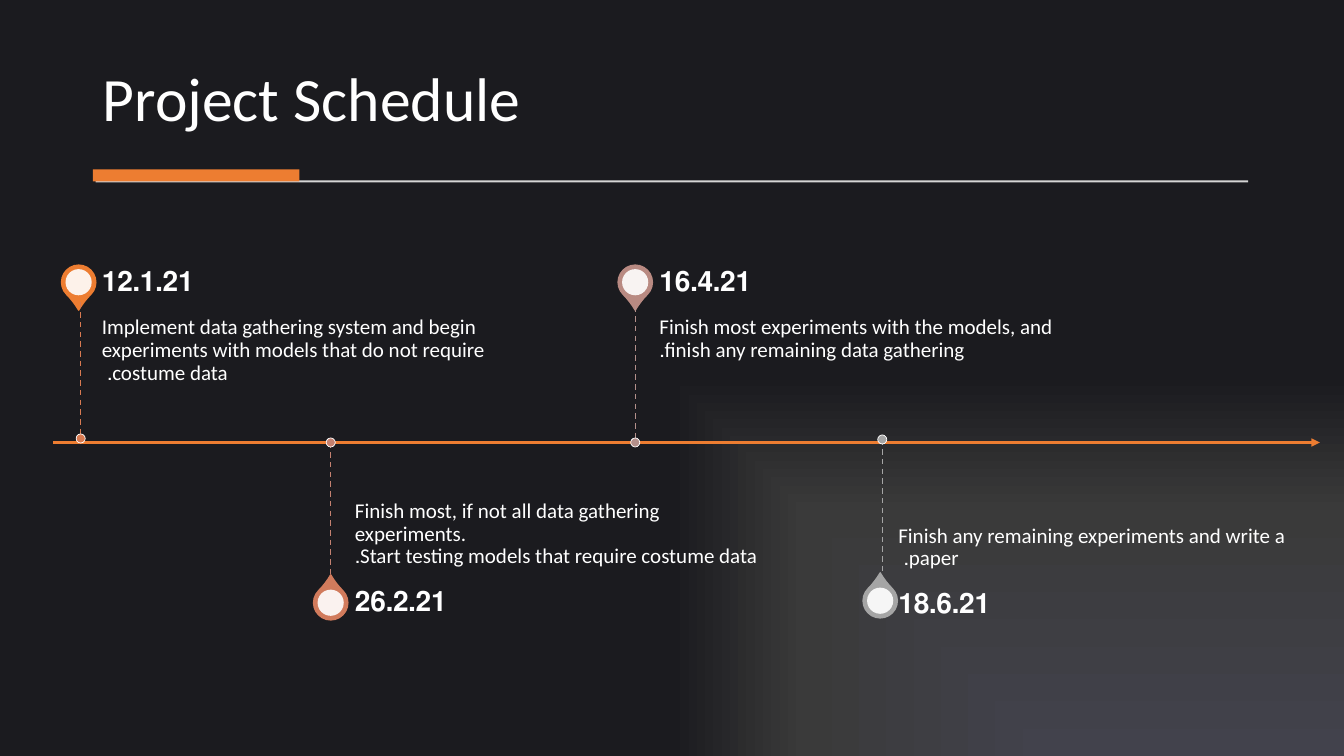
from dataclasses import dataclass

from lxml.etree import SubElement
from pptx import Presentation
from pptx.dml.color import RGBColor
from pptx.enum.dml import MSO_LINE
from pptx.enum.shapes import MSO_CONNECTOR, MSO_SHAPE
from pptx.enum.text import MSO_ANCHOR, PP_ALIGN
from pptx.oxml import parse_xml
from pptx.oxml.ns import nsdecls, qn
from pptx.util import Inches, Pt


@dataclass(frozen=True)
class Theme:
    font: str = "Calibri"
    white: str = "FFFFFF"
    accent: str = "ED7D31"
    rule: str = "D5D5D5"
    backdrop: tuple = ((0, "42424C"), (65, "3A3A3A"), (100, "1B1B1F"))
    title_size: float = 44
    date_size: float = 20
    body_size: float = 15


@dataclass(frozen=True)
class Milestone:
    date: str
    text: str
    above: bool
    left: float          # left edge of the text column
    pin_x: float
    stem_x: float
    pin_color: str
    stem_color: str
    stem_shift: float = 0
    pin_shift: float = 0
    text_shift: float = 0


THEME = Theme()
WIDTH, HEIGHT = 13.33, 7.5
AXIS_Y = 4.39
TEXT_WIDTH, TEXT_HEIGHT, DATE_HEIGHT = 4.17, 1.35, 0.48
PIN, PIN_HOLE, DOT, PIN_REACH = 0.34, 0.26, 0.09, 1.59

MILESTONES = (
    Milestone("12.1.21",
              "Implement data gathering system and begin experiments with "
              "models that do not require costume data. ",
              True, 1.01, 0.78, 0.8, "ED7D31", "D87A51", stem_shift=-0.04),
    Milestone("26.2.21",
              "Finish most, if not all data gathering experiments. \v"
              "Start testing models that require costume data.",
              False, 3.52, 3.28, 3.28, "D17B5C", "C48170"),
    Milestone("16.4.21",
              "Finish most experiments with the models, and finish any "
              "remaining data gathering.",
              True, 6.54, 6.3, 6.3, "B98A82", "B4908B"),
    Milestone("18.6.21",
              "Finish any remaining experiments and write a paper. ",
              False, 8.91, 8.73, 8.75, "A5A5A5", "A5A5A5",
              stem_shift=-0.03, pin_shift=-0.02, text_shift=0.02),
)


def write(frame, text, size, bold=False, rtl=False, anchor=MSO_ANCHOR.TOP,
          insets=(0.1, 0.05, 0.1, 0.05)):
    frame.word_wrap = True
    frame.vertical_anchor = anchor
    (frame.margin_left, frame.margin_top,
     frame.margin_right, frame.margin_bottom) = map(Inches, insets)
    para = frame.paragraphs[0]
    para.text = text
    para.alignment = PP_ALIGN.LEFT
    para.line_spacing = 0.9
    if rtl:
        para._p.get_or_add_pPr().set("rtl", "1")
    for span in para.runs:
        span.font.name = THEME.font
        span.font.size = Pt(size)
        span.font.bold = bold
        span.font.color.rgb = RGBColor.from_string(THEME.white)


def add_text(page, box, text, size, **style):
    shape = page.shapes.add_textbox(*map(Inches, box))
    write(shape.text_frame, text, size, **style)


def add_figure(page, kind, box, fill, outline=None, weight=1, alpha=None):
    shape = page.shapes.add_shape(kind, *map(Inches, box))
    shape.shadow.inherit = False
    shape.fill.solid()
    shape.fill.fore_color.rgb = RGBColor.from_string(fill)
    if alpha:
        color = shape.fill._xPr.find(qn("a:solidFill"))[0]
        SubElement(color, qn("a:alpha")).set("val", str(alpha * 1000))
    if outline:
        shape.line.color.rgb = RGBColor.from_string(outline)
        shape.line.width = Pt(weight)
    else:
        shape.line.fill.background()
    return shape


def add_line(page, start, end, color, weight, dash=None, arrow=False):
    line = page.shapes.add_connector(MSO_CONNECTOR.STRAIGHT,
                                     *map(Inches, (*start, *end)))
    line.line.color.rgb = RGBColor.from_string(color)
    line.line.width = Pt(weight)
    if dash:
        line.line.dash_style = dash
    if arrow:
        SubElement(line.line._get_or_add_ln(),
                   qn("a:tailEnd")).set("type", "triangle")
    SubElement(line._element.spPr, qn("a:effectLst"))


def centred(x, y, size):
    return x - size / 2, y - size / 2, size, size


def paint_background(page):
    page.background.fill.gradient()
    gradient = page.background._cSld.find(".//" + qn("a:gradFill"))
    stops = "".join(f'<a:gs pos="{share * 1000}"><a:srgbClr val="{color}"/></a:gs>'
                    for share, color in THEME.backdrop)
    gradient.getparent().replace(gradient, parse_xml(
        f'<a:gradFill {nsdecls("a")} rotWithShape="1"><a:gsLst>{stops}</a:gsLst>'
        '<a:path path="rect"><a:fillToRect l="100000" t="100000"/></a:path>'
        '<a:tileRect r="-100000" b="-100000"/></a:gradFill>'))


def add_heading(page, box, text):
    left, top, width, height = box
    title = page.shapes.title
    title.left, title.top, title.width, title.height = map(Inches, box)
    write(title.text_frame, text, THEME.title_size, anchor=MSO_ANCHOR.BOTTOM)
    # Thin rule with a thick accent at its start
    base = top + height + 0.4
    add_figure(page, MSO_SHAPE.RECTANGLE,
               (left + 0.03, base, width - 0.06, 0.02), THEME.rule)
    add_figure(page, MSO_SHAPE.RECTANGLE,
               (left, base - 0.11, 2.05, 0.12), THEME.accent)


def add_milestone(page, item, axis_y):
    side = -1 if item.above else 1
    # Pin
    pin_y = axis_y + side * PIN_REACH + item.pin_shift
    pin = add_figure(page, MSO_SHAPE.TEAR, centred(item.pin_x, pin_y, PIN),
                     item.pin_color, outline=item.pin_color)
    pin.rotation = 135 if item.above else 315
    pin.adjustments[0] = 1.15
    add_figure(page, MSO_SHAPE.OVAL, centred(item.pin_x, pin_y, PIN_HOLE),
               THEME.white, alpha=90)
    # Description and date
    text_y = axis_y + item.text_shift
    text_top = text_y - TEXT_HEIGHT if item.above else text_y
    date_top = (text_top - DATE_HEIGHT if item.above
                else text_top + TEXT_HEIGHT)
    add_text(page, (item.left, text_top, TEXT_WIDTH, TEXT_HEIGHT), item.text,
             THEME.body_size, rtl=True,
             anchor=MSO_ANCHOR.TOP if item.above else MSO_ANCHOR.BOTTOM,
             insets=(0, 0.1, 0.1, 0.16) if item.above else (0, 0.16, 0, 0.1))
    add_text(page, (item.left, date_top, TEXT_WIDTH, DATE_HEIGHT), item.date,
             THEME.date_size, bold=True, rtl=True, anchor=MSO_ANCHOR.MIDDLE,
             insets=(0, 0, 0.14, 0))
    # Stem and dot on the axis
    foot = axis_y + item.stem_shift
    ends = sorted((foot, foot + side * TEXT_HEIGHT))
    add_line(page, (item.stem_x, ends[0]), (item.stem_x, ends[1]),
             item.stem_color, 1, dash=MSO_LINE.DASH)
    add_figure(page, MSO_SHAPE.OVAL, centred(item.stem_x, foot, DOT),
               item.stem_color, outline=THEME.white, weight=0.5)


def add_timeline(page, left, right, axis_y):
    add_line(page, (left, axis_y), (right, axis_y), THEME.accent, 1.5, arrow=True)
    for item in MILESTONES:
        add_milestone(page, item, axis_y)


def main():
    deck = Presentation()
    deck.slide_width, deck.slide_height = Inches(WIDTH), Inches(HEIGHT)
    page = deck.slides.add_slide(deck.slide_layouts.get_by_name("Title Only"))
    paint_background(page)
    add_heading(page, (0.92, 0.28, 11.49, 1.11), "Project Schedule")
    add_timeline(page, 0.53, 13.09, AXIS_Y)
    deck.save("out.pptx")


if __name__ == "__main__":
    main()
